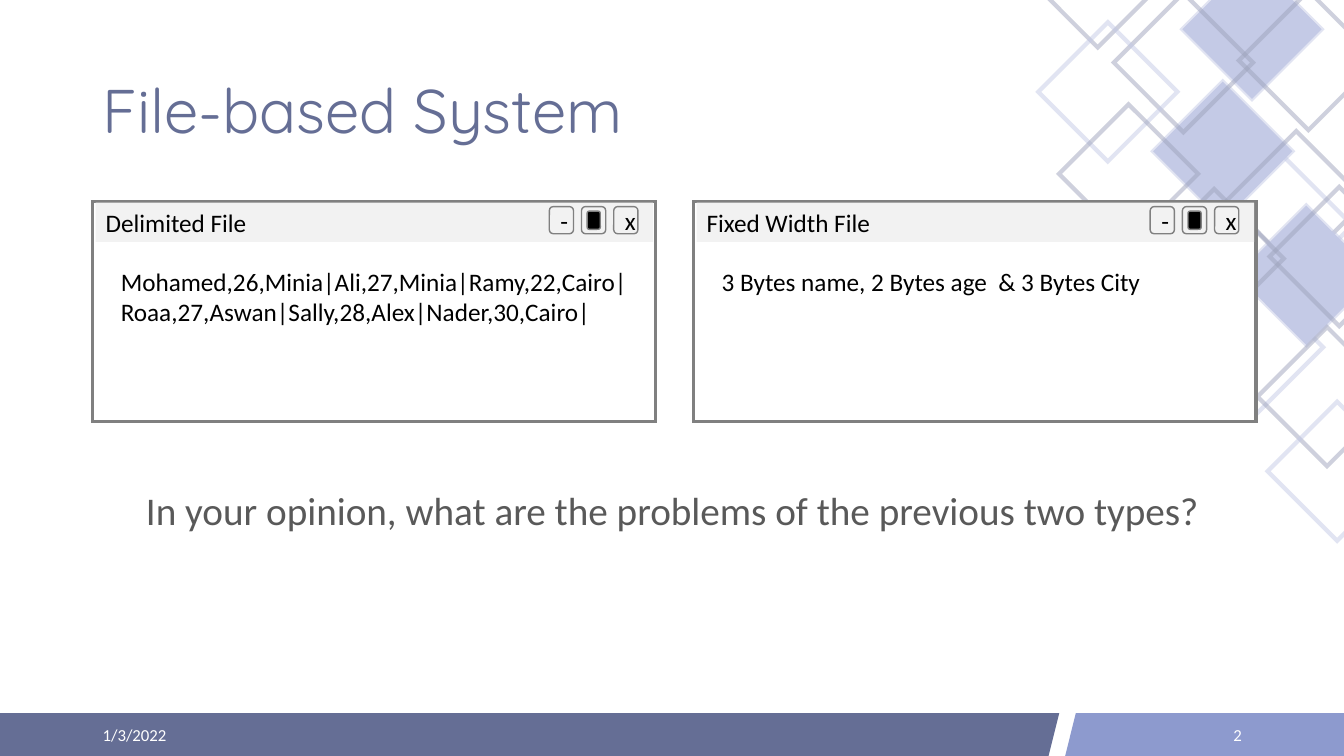
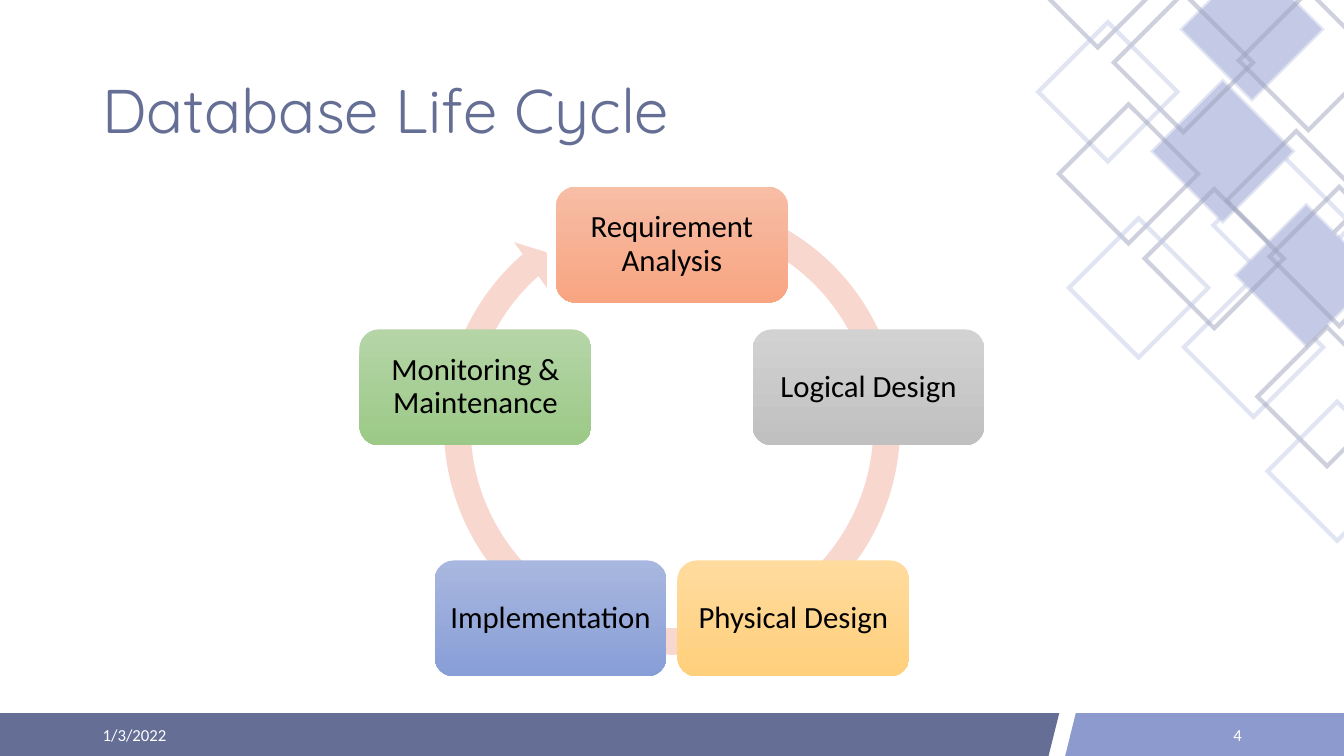
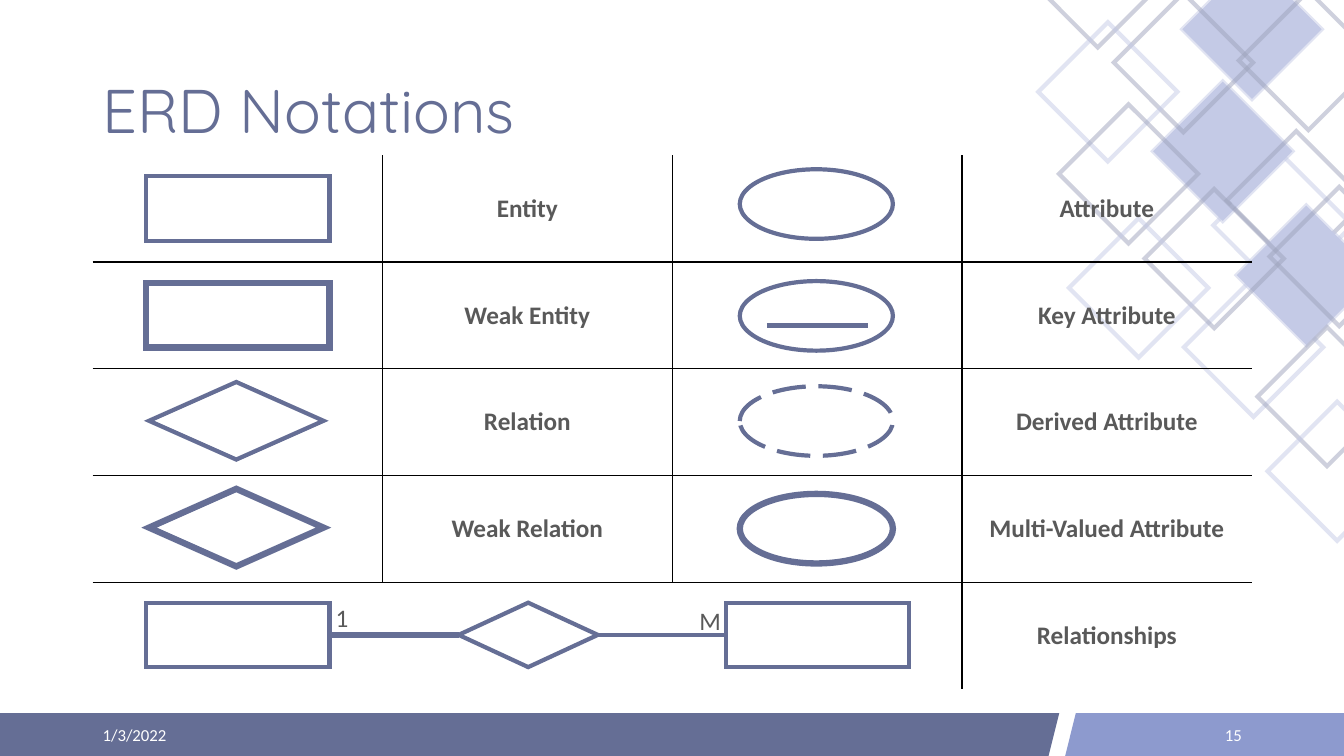
import math

from pptx import Presentation
from pptx.dml.color import RGBColor
from pptx.enum.dml import MSO_LINE
from pptx.enum.shapes import MSO_CONNECTOR, MSO_SHAPE
from pptx.enum.text import MSO_ANCHOR, PP_ALIGN
from pptx.oxml.ns import qn
from pptx.oxml.xmlchemy import OxmlElement
from pptx.util import Pt

RECT, ROUND = MSO_SHAPE.RECTANGLE, MSO_SHAPE.ROUNDED_RECTANGLE
DIAMOND, OVAL = MSO_SHAPE.DIAMOND, MSO_SHAPE.OVAL
SLANT, CYCLE_ARROW = MSO_SHAPE.PARALLELOGRAM, MSO_SHAPE.CIRCULAR_ARROW
STRAIGHT, LONG_DASH = MSO_CONNECTOR.STRAIGHT, MSO_LINE.LONG_DASH
LEFT, CENTER, RIGHT = PP_ALIGN.LEFT, PP_ALIGN.CENTER, PP_ALIGN.RIGHT
TOP, MIDDLE = MSO_ANCHOR.TOP, MSO_ANCHOR.MIDDLE

INDIGO = RGBColor(0x65, 0x6E, 0x95)
PERIWINKLE = RGBColor(0x8D, 0x9A, 0xCE)
LAVENDER = RGBColor(0xC4, 0xCA, 0xE6)
SLATE = RGBColor(0x9E, 0xA3, 0xBC)
TEXT_GREY = RGBColor(0x59, 0x59, 0x59)
FRAME_GREY = RGBColor(0x80, 0x80, 0x80)
BAR_GREY = RGBColor(0xF2, 0xF2, 0xF2)
PEACH = RGBColor(0xF8, 0xD7, 0xCE)
BLACK, WHITE = RGBColor(0, 0, 0), RGBColor(255, 255, 255)

TITLE_FONT, BODY_FONT = "Quicksand", "Calibri"
MARGIN, CONTENT_W = 66.2, 828
DATE = "1/3/2022"

# Left, top, outline and whether it is solid in the upper cluster
DIAMONDS = [
    (110.2, 36.7, LAVENDER, True), (150.5, 59, SLATE, False),
    (89.3, 123.8, LAVENDER, True), (61.2, 60.5, SLATE, False),
    (141.8, 159.1, SLATE, False), (149, 212.4, LAVENDER, True),
    (0, 0, SLATE, False), (7.2, 81.4, LAVENDER, False),
]

STAGES = [
    ("Requirement Analysis", RGBColor(0xF7, 0xBD, 0xA5), RGBColor(0xF8, 0xA5, 0x82)),
    ("Logical Design", RGBColor(0xD2, 0xD2, 0xD2), RGBColor(0xC0, 0xC0, 0xC0)),
    ("Physical Design", RGBColor(0xFF, 0xDB, 0x9E), RGBColor(0xFF, 0xD0, 0x7C)),
    ("Implementation", RGBColor(0xA8, 0xB7, 0xDF), RGBColor(0x88, 0x9E, 0xD7)),
    ("Monitoring & Maintenance", RGBColor(0xB5, 0xD5, 0xA7), RGBColor(0x9C, 0xC9, 0x87)),
]

NOTATIONS = [
    ("Entity", "Attribute"),
    ("Weak Entity", "Key Attribute"),
    ("Relation", "Derived Attribute"),
    ("Weak Relation", "Multi-Valued Attribute"),
    ("", "Relationships"),
]


def write(frame, text, size=18, font=BODY_FONT, color=BLACK, bold=False,
          align=LEFT, anchor=MIDDLE, spacing=None, inset=None, wrap=True):
    frame.word_wrap = wrap
    frame.vertical_anchor = anchor
    if inset is not None:
        frame.margin_left = frame.margin_right = Pt(inset)
        frame.margin_top = frame.margin_bottom = Pt(inset)
    paragraph = frame.paragraphs[0]
    paragraph.alignment = align
    paragraph.line_spacing = spacing
    run = paragraph.add_run()
    run.text = text
    run.font.size, run.font.name, run.font.bold = Pt(size), font, bold
    run.font.color.rgb = color


def label(slide, text, left, top, width, height, **style):
    box = slide.shapes.add_textbox(Pt(left), Pt(top), Pt(width), Pt(height))
    write(box.text_frame, text, **style)


def draw(slide, kind, left, top, width, height, fill=None, line=None,
         weight=1, dash=None, alpha=None):
    shape = slide.shapes.add_shape(kind, Pt(left), Pt(top), Pt(width), Pt(height))
    shape.shadow.inherit = False
    if fill is None:
        shape.fill.background()
    else:
        shape.fill.solid()
        shape.fill.fore_color.rgb = fill
    if line is None:
        shape.line.fill.background()
        return shape
    shape.line.color.rgb = line
    shape.line.width = Pt(weight)
    if dash:
        shape.line.dash_style = dash
    outline = shape._element.spPr.find(qn("a:ln"))
    corner = OxmlElement("a:miter")
    corner.set("lim", "800000")
    outline.append(corner)
    if alpha:
        opacity = OxmlElement("a:alpha")
        opacity.set("val", str(alpha * 1000))
        outline.find(qn("a:solidFill"))[0].append(opacity)
    return shape


def connect(slide, x1=0, y1=0, x2=0, y2=0, weight=3, start=None, end=None):
    link = slide.shapes.add_connector(STRAIGHT, Pt(x1), Pt(y1), Pt(x2), Pt(y2))
    if start:
        link.begin_connect(*start)
    if end:
        link.end_connect(*end)
    link.line.color.rgb = INDIGO
    link.line.width = Pt(weight)
    link._element.spPr.append(OxmlElement("a:effectLst"))


# Shared look: footer bands, diamond pattern, title, date and number
def diamond_cluster(slide, left, top, diamonds, solid):
    for dx, dy, color, filled in diamonds:
        draw(slide, DIAMOND, left + dx, top + dy, 99.4, 99.4,
             fill=color if solid and filled else None,
             line=color, weight=3, alpha=50)


def base_slide(deck, title, number, lower_diamonds=DIAMONDS):
    slide = deck.slides.add_slide(deck.slide_layouts[6])
    for left, width, color in [(-34.6, 790.6, INDIGO), (761, 211.7, PERIWINKLE)]:
        draw(slide, SLANT, left, 509.8, width, 31.7, fill=color, line=color)
    diamond_cluster(slide, 734.4, -65.5, DIAMONDS, solid=True)
    diamond_cluster(slide, 756.4, 74.5, lower_diamonds, solid=False)
    label(slide, title, MARGIN, 28.8, CONTENT_W, 104.4, size=44,
          font=TITLE_FONT, color=INDIGO, spacing=0.9)
    for text, left, align in [(DATE, MARGIN, LEFT),
                              (str(number), MARGIN + CONTENT_W - 216, RIGHT)]:
        label(slide, text, left, 510.5, 216, 28.8, size=12, color=WHITE, align=align)
    return slide


# File windows
def file_window(slide, left, top, name, content, lines):
    draw(slide, RECT, left, top, 401.8, 157, fill=WHITE, line=FRAME_GREY, weight=2.25)
    title_bar = draw(slide, RECT, left + 2.2, top + 0.7, 398.2, 28.1, fill=BAR_GREY)
    write(title_bar.text_frame, name)
    for i, sign in enumerate(["-", "", "x"]):
        x, y = left + 326.2 + 23 * i, top + 3.6
        button = draw(slide, ROUND, x, y, 17.3, 19.4, line=FRAME_GREY)
        if sign:
            write(button.text_frame, sign, align=CENTER)
        else:
            draw(slide, ROUND, x + 4, y + 3.2, 9.4, 13, fill=BLACK, line=FRAME_GREY)
    label(slide, content, left + 13, top + 42.5, 376.6, 7.2 + 21.6 * lines, anchor=TOP)


def file_slide(deck):
    # The last lower diamond would lie wholly behind a window
    slide = base_slide(deck, "File-based System", 2, DIAMONDS[:-1])
    label(slide, "In your opinion, what are the problems of the previous two types?",
          MARGIN, 344, CONTENT_W, 44, size=28, color=TEXT_GREY, align=CENTER, spacing=0.9)
    file_window(slide, MARGIN, 144, "Delimited File",
                "Mohamed,26,Minia|Ali,27,Minia|Ramy,22,Cairo|"
                "Roaa,27,Aswan|Sally,28,Alex|Nader,30,Cairo|", lines=2)
    file_window(slide, 495.4, 144, "Fixed Width File",
                "3 Bytes name, 2 Bytes age  & 3 Bytes City", lines=1)


# Life cycle: stages evenly spaced on a ring
def cycle(slide, center_x, center_y, radius, width=165.6, height=82.8):
    ring = 347
    arrow = draw(slide, CYCLE_ARROW, center_x - ring / 2, center_y - 17.5 - ring / 2,
                 ring, ring, fill=PEACH)
    degree = 0.6
    for i, value in enumerate([5.5 / 100, 5.51 * degree, 228.81 * degree,
                               290.25 * degree, 5.8 / 100]):
        arrow.adjustments[i] = value
    for i, (name, light, deep) in enumerate(STAGES):
        angle = math.tau * i / len(STAGES)
        stage = draw(slide, ROUND, center_x + radius * math.sin(angle) - width / 2,
                     center_y - radius * math.cos(angle) - height / 2, width, height)
        stage.fill.gradient()
        stage.fill.gradient_angle = 270
        for stop, color in zip(stage.fill.gradient_stops, (light, deep)):
            stop.color.rgb = color
        write(stage.text_frame, name, size=22, align=CENTER, spacing=0.9, inset=6.5)


def cycle_slide(deck):
    slide = base_slide(deck, "Database Life Cycle", 4)
    cycle(slide, 480, 322.3, 147.6)


# Notation table and its symbols
def set_borders(cell, sides):
    properties = cell._tc.get_or_add_tcPr()
    for side in "LRTB":
        edge = OxmlElement("a:ln" + side)
        edge.set("w", str(Pt(1)))
        if side in sides:
            paint = OxmlElement("a:solidFill")
            color = OxmlElement("a:srgbClr")
            color.set("val", str(BLACK))
            paint.append(color)
        else:
            paint = OxmlElement("a:noFill")
        edge.append(paint)
        properties.append(edge)


def notation_table(slide, left, top, col_w, row_h):
    rows, cols = len(NOTATIONS), 4
    table = slide.shapes.add_table(rows, cols, Pt(left), Pt(top),
                                   Pt(col_w * cols), Pt(row_h * rows)).table
    table.first_row = table.horz_banding = False
    for column in table.columns:
        column.width = Pt(col_w)
    for row in table.rows:
        row.height = Pt(row_h)
    last = rows - 1
    table.cell(last, 0).merge(table.cell(last, 2))
    for r, names in enumerate(NOTATIONS):
        for c in range(cols):
            cell = table.cell(r, c)
            sides = ("T" if r else "") + ("B" if r < last else "")
            if c and (r < last or c == 3):
                sides += "L"
            if c < 3 and (r < last or c in (0, 2)):
                sides += "R"
            set_borders(cell, sides)
            cell.fill.background()
            if c % 2 and names[c // 2]:
                cell.vertical_anchor = MIDDLE
                write(cell.text_frame, names[c // 2], color=TEXT_GREY,
                      bold=True, align=CENTER)


def symbols(slide, left, top, col_w, row_h):
    thin, thick = 3, 4.5
    ink = {"line": INDIGO}
    entity_x, entity_w, entity_h = left + 38.2, 131, 46
    for row, weight in enumerate([thin, thick]):
        draw(slide, RECT, entity_x, top + row * row_h + 15, entity_w, entity_h,
             weight=weight, **ink)
        draw(slide, DIAMOND, left + 40.3, top + (row + 2) * row_h + 9.4, 124.6, 55.4,
             weight=weight, **ink)

    # Attributes
    oval_x = left + 2 * col_w + 48.2
    for row, (dy, weight, dash) in enumerate([
            (10, thin, None), (13.6, thin, None),
            (12.4, thin, LONG_DASH), (13, thick, None)]):
        draw(slide, OVAL, oval_x, top + row * row_h + dy, 109.4, 49.7,
             weight=weight, dash=dash, **ink)
    key_y = top + row_h + 45.3
    connect(slide, oval_x + 19.4, key_y, oval_x + 91.4, key_y)

    # Relationship between two entities
    y = top + 4 * row_h + 14.4
    one = draw(slide, RECT, entity_x, y, entity_w, entity_h, weight=thin, **ink)
    many = draw(slide, RECT, left + 452.2, y, entity_w, entity_h, weight=thin, **ink)
    relation = draw(slide, DIAMOND, left + 261.4, y, 99.4, entity_h, weight=thin, **ink)
    connect(slide, weight=thick, start=(one, 3), end=(relation, 1))
    connect(slide, weight=thin, start=(relation, 3), end=(many, 1))
    for count, dx, dy, width in [("1", 166.4, -3.6, 23.8), ("M", 426.3, -1.4, 30.2)]:
        label(slide, count, left + dx, y + dy, width, 28.8,
              color=TEXT_GREY, anchor=TOP, wrap=False)


def notation_slide(deck):
    slide = base_slide(deck, "ERD Notations", 15)
    grid = (MARGIN, 110.9, CONTENT_W / 4, 76.3)
    notation_table(slide, *grid)
    symbols(slide, *grid)


def main():
    deck = Presentation()
    deck.slide_width, deck.slide_height = Pt(960), Pt(540)
    file_slide(deck)
    cycle_slide(deck)
    notation_slide(deck)
    deck.save("out.pptx")


if __name__ == "__main__":
    main()
